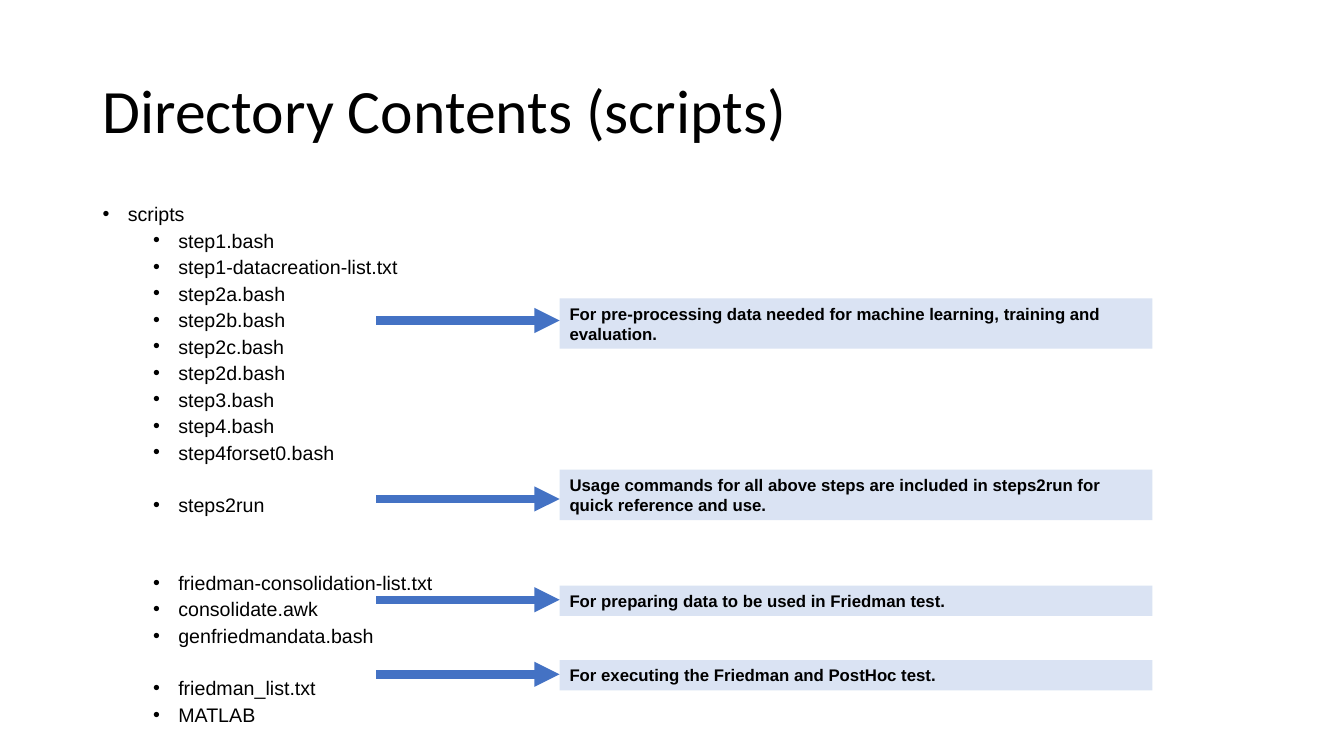
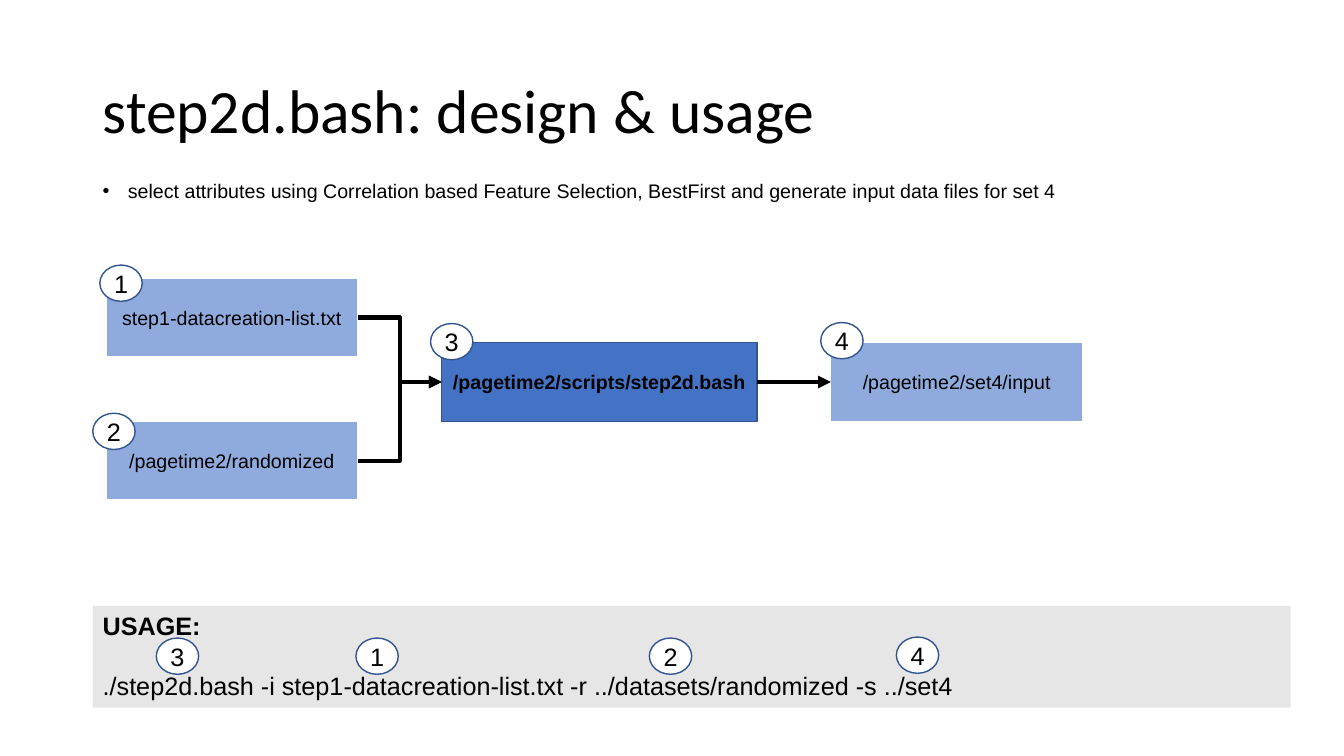
from lxml import etree
from pptx import Presentation
from pptx.dml.color import RGBColor
from pptx.enum.shapes import MSO_CONNECTOR, MSO_SHAPE
from pptx.enum.text import MSO_ANCHOR, PP_ALIGN
from pptx.oxml.ns import qn
from pptx.util import Pt

RECT, OVAL = MSO_SHAPE.RECTANGLE, MSO_SHAPE.OVAL
LINE, BENT = MSO_CONNECTOR.STRAIGHT, MSO_CONNECTOR.ELBOW
TOP, MID = MSO_ANCHOR.TOP, MSO_ANCHOR.MIDDLE
LEFT, CENTER = PP_ALIGN.LEFT, PP_ALIGN.CENTER
SITE_LEFT, SITE_RIGHT = 1, 3

BLACK = RGBColor(0x00, 0x00, 0x00)
WHITE = RGBColor(0xFF, 0xFF, 0xFF)
BLUE = RGBColor(0x44, 0x72, 0xC4)
NAVY = RGBColor(0x32, 0x54, 0x91)
SKY = RGBColor(0x8F, 0xAA, 0xDC)
PALE = RGBColor(0xDA, 0xE3, 0xF3)
GRAY = RGBColor(0xE7, 0xE6, 0xE6)

PX = 9144  # 100 px to the inch


class Deck:
    """Holds the shared style and the current slide."""

    head_font, body_font = "Calibri", "Arial"

    def __init__(self, wide, high):
        self.prs = Presentation()
        self.prs.slide_width, self.prs.slide_height = wide * PX, high * PX
        self.slide = None

    def page(self, title):
        self.slide = self.prs.slides.add_slide(self.prs.slide_layouts[6])
        frame = self.text_box(92, 40, 1150, 145)
        frame.vertical_anchor = MID
        para = frame.paragraphs[0]
        para.line_spacing = 0.9
        self.label(para, title, 44, font=self.head_font)

    def text_box(self, *place):
        box = self.slide.shapes.add_textbox(*(n * PX for n in place))
        box.text_frame.word_wrap = True
        return box.text_frame

    def label(self, para, text, size, bold=False, align=LEFT, font=body_font):
        para.text = text
        para.alignment = align
        para.font.name, para.font.size = font, Pt(size)
        para.font.bold = bold
        para.font.color.rgb = BLACK

    def bullets(self, place, items, spacing):
        """Each item is (text, level, space before in points)."""
        frame = self.text_box(*place)
        for i, (text, level, gap) in enumerate(items):
            para = frame.add_paragraph() if i else frame.paragraphs[0]
            para.level = level
            prop = para._p.get_or_add_pPr()
            prop.set("marL", str((25 + 50 * level) * PX))
            prop.set("indent", str(-25 * PX))
            etree.SubElement(prop, qn("a:buFont")).set("typeface", self.body_font)
            etree.SubElement(prop, qn("a:buChar")).set("char", "•")
            para.line_spacing = spacing
            para.space_before = Pt(gap)
            self.label(para, text, 14)

    def shape(self, kind, place, fill, edge=None):
        shape = self.slide.shapes.add_shape(kind, *(n * PX for n in place))
        shape.shadow.inherit = False
        shape.fill.solid()
        shape.fill.fore_color.rgb = fill
        if edge is None:
            shape.line.fill.background()
        else:
            shape.line.color.rgb = edge
            shape.line.width = Pt(1)
        return shape

    def note(self, place, fill, lines, size):
        """Each line is (text, bold, space before in points)."""
        frame = self.shape(RECT, place, fill).text_frame
        frame.vertical_anchor = TOP
        for i, (text, bold, gap) in enumerate(lines):
            para = frame.add_paragraph() if i else frame.paragraphs[0]
            para.space_before = Pt(gap)
            self.label(para, text, size, bold)

    def node(self, place, text, fill=SKY, edge=WHITE, bold=False):
        shape = self.shape(RECT, place, fill, edge)
        shape.text_frame.vertical_anchor = MID
        self.label(shape.text_frame.paragraphs[0], text, 14, bold, CENTER)
        return shape

    def badge(self, left, top, digit):
        frame = self.shape(OVAL, (left, top, 42, 36), WHITE, NAVY).text_frame
        frame.margin_left = frame.margin_right = 0
        frame.margin_top = frame.margin_bottom = 0
        frame.word_wrap = False
        frame.vertical_anchor = MID
        self.label(frame.paragraphs[0], digit, 18, align=CENTER)

    def arrow(self, kind, ends, color, width):
        line = self.slide.shapes.add_connector(kind, *(n * PX for n in ends))
        line.line.color.rgb = color
        line.line.width = Pt(width)
        prop = line._element.spPr
        etree.SubElement(prop.find(qn("a:ln")), qn("a:tailEnd")).set("type", "triangle")
        etree.SubElement(prop, qn("a:effectLst"))
        return line

    def link(self, kind, start, end):
        line = self.arrow(kind, (0, 0, 0, 0), BLACK, 3)
        line.begin_connect(start, SITE_RIGHT)
        line.end_connect(end, SITE_LEFT)


def list_files(deck):
    deck.page("Directory Contents (scripts)")

    # File list, in groups set apart by a number of empty rows
    groups = [
        (0, ["step1.bash", "step1-datacreation-list.txt", "step2a.bash",
             "step2b.bash", "step2c.bash", "step2d.bash", "step3.bash",
             "step4.bash", "step4forset0.bash"]),
        (1, ["steps2run"]),
        (2, ["friedman-consolidation-list.txt", "consolidate.awk",
             "genfriedmandata.bash"]),
        (1, ["friedman_list.txt", "MATLAB"]),
    ]
    gap, row = 5.5, 18.4
    items = [("scripts", 0, 0)]
    for skip, names in groups:
        for i, name in enumerate(names):
            items.append((name, 1, gap if i else gap + skip * row))
    deck.bullets((92, 200, 450, 533), items, 0.8)

    # Notes with their arrows: top, height, arrow height, text
    notes = [
        (296, 50, 318, "For pre-processing data needed for machine learning, "
                       "training and evaluation."),
        (466, 50, 495, "Usage commands for all above steps are included in "
                       "steps2run for quick reference and use."),
        (581, 30, 595, "For preparing data to be used in Friedman test."),
        (655, 30, 669, "For executing the Friedman and PostHoc test."),
    ]
    for top, high, mid, text in notes:
        deck.note((555, top, 588, high), PALE, [(text, True, 0)], 12)
        deck.arrow(LINE, (373, mid, 555, mid), BLUE, 6)


def show_step(deck):
    deck.page("step2d.bash: design & usage")
    deck.bullets((92, 175, 1078, 51), [
        ("select attributes using Correlation based Feature Selection, "
         "BestFirst and generate input data files for set 4", 0, 0)], 0.9)

    # Flow of files
    script = deck.node((438, 340, 313, 78), "/pagetime2/scripts/step2d.bash",
                       BLUE, NAVY, True)
    names = deck.node((105, 276, 250, 78), "step1-datacreation-list.txt")
    data = deck.node((105, 418, 250, 78), "/pagetime2/randomized")
    result = deck.node((824, 340, 250, 78), "/pagetime2/set4/input")
    deck.link(BENT, names, script)
    deck.link(BENT, data, script)
    deck.link(LINE, script, result)

    # Usage band
    deck.note((92, 601, 1188, 101), GRAY, [
        ("USAGE:", True, 0),
        ("./step2d.bash -i step1-datacreation-list.txt "
         "-r ../datasets/randomized -s ../set4", False, 21)], 18)

    # Numbers that tie the flow to the command
    for left, top, digit in [
        (99, 263, "1"), (92, 410, "2"), (427, 321, "3"), (814, 320, "4"),
        (155, 633, "3"), (353, 633, "1"), (644, 633, "2"), (889, 632, "4"),
    ]:
        deck.badge(left, top, digit)


def main():
    deck = Deck(1333, 750)
    list_files(deck)
    show_step(deck)
    deck.prs.save("out.pptx")


if __name__ == "__main__":
    main()
